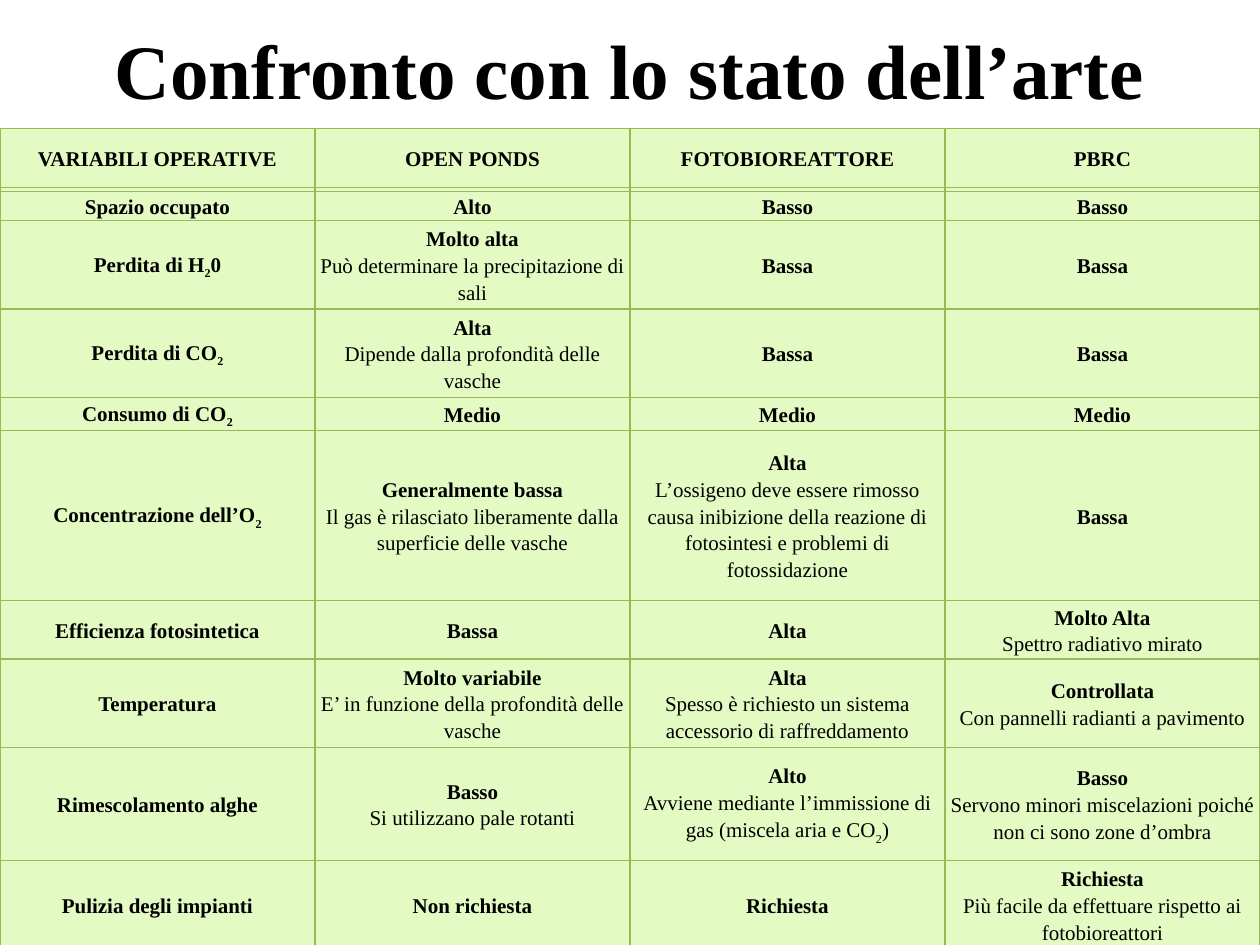
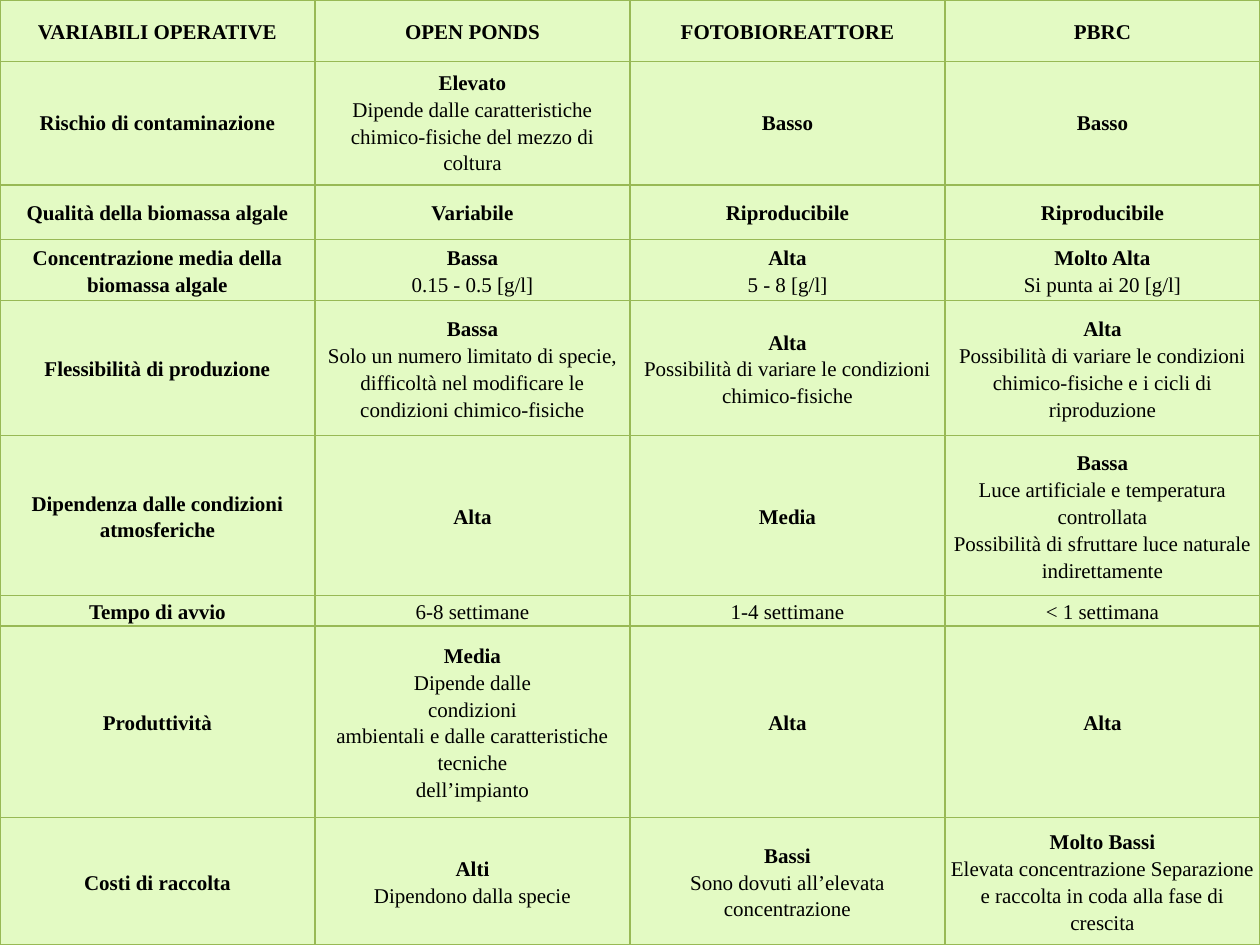
import pptx
import pptx.dml.color
import pptx.enum.text
import pptx.oxml
import pptx.oxml.ns
import pptx.util
from pptx.util import Cm

BLACK = pptx.dml.color.RGBColor(0x00, 0x00, 0x00)
LIME = pptx.dml.color.RGBColor(0xE3, 0xFA, 0xC3)
OLIVE = pptx.dml.color.RGBColor(0x98, 0xB9, 0x55)
FONT = "Times New Roman"
PAGE_WIDTH, PAGE_HEIGHT = 25.4, 19.05
COLUMNS = 4

# Cell text: the first line is bold, later lines are plain.
# "~" makes a first line plain, "_" makes the next character a subscript.
HEADINGS = ["VARIABILI OPERATIVE", "OPEN PONDS", "FOTOBIOREATTORE", "PBRC"]

# Each row: height in cm, then its cells
OPERATION_ROWS = [
    (1.27, [""] * COLUMNS),
    (0.59, ["Spazio occupato", "Alto", "Basso", "Basso"]),
    (1.78, ["Perdita di H_20",
            "Molto alta\nPuò determinare la precipitazione di sali",
            "Bassa", "Bassa"]),
    (1.78, ["Perdita di CO_2",
            "Alta\nDipende dalla profondità delle vasche",
            "Bassa", "Bassa"]),
    (0.59, ["Consumo di CO_2", "Medio", "Medio", "Medio"]),
    (3.43, ["Concentrazione dell’O_2",
            "Generalmente bassa\n"
            "Il gas è rilasciato liberamente dalla superficie delle vasche",
            "Alta\nL’ossigeno deve essere rimosso causa inibizione della "
            "reazione di fotosintesi e problemi di\nfotossidazione",
            "Bassa"]),
    (1.18, ["Efficienza fotosintetica", "Bassa", "Alta",
            "Molto Alta\nSpettro radiativo mirato"]),
    (1.78, ["Temperatura",
            "Molto variabile\nE’ in funzione della profondità delle vasche",
            "Alta\nSpesso è richiesto un sistema accessorio di raffreddamento",
            "Controllata\nCon pannelli radianti a pavimento"]),
    (2.28, ["Rimescolamento alghe",
            "Basso\nSi utilizzano pale rotanti",
            "Alto\nAvviene mediante l’immissione di gas (miscela aria e CO_2)",
            "Basso\nServono minori miscelazioni poiché non ci sono zone d’ombra"]),
    (1.78, ["Pulizia degli impianti", "Non richiesta", "Richiesta",
            "Richiesta\nPiù facile da effettuare rispetto ai fotobioreattori"]),
]

PRODUCTION_ROWS = [
    (2.54, ["Rischio di contaminazione",
            "Elevato\nDipende dalle caratteristiche chimico-fisiche "
            "del mezzo di coltura",
            "Basso", "Basso"]),
    (1.09, ["Qualità della biomassa algale",
            "Variabile", "Riproducibile", "Riproducibile"]),
    (1.24, ["Concentrazione media della biomassa algale",
            "Bassa\n0.15 - 0.5 [g/l]",
            "Alta\n5 - 8 [g/l]",
            "Molto Alta\nSi punta ai 20 [g/l]"]),
    (2.72, ["Flessibilità di produzione",
            "Bassa\nSolo un numero limitato di specie, difficoltà nel "
            "modificare le condizioni chimico-fisiche",
            "Alta\nPossibilità di variare le condizioni chimico-fisiche",
            "Alta\nPossibilità di variare le condizioni chimico-fisiche "
            "e i cicli di riproduzione"]),
    (3.23, ["Dipendenza dalle condizioni atmosferiche", "Alta", "Media",
            "Bassa\nLuce artificiale e temperatura controllata\n"
            "Possibilità di sfruttare luce naturale indirettamente"]),
    (0.61, ["Tempo di avvio",
            "~6-8 settimane", "~1-4 settimane", "~< 1 settimana"]),
    (3.86, ["Produttività",
            "Media\nDipende dalle\ncondizioni\n"
            "ambientali e dalle caratteristiche\ntecniche\ndell’impianto",
            "Alta", "Alta"]),
    (2.57, ["Costi di raccolta",
            "Alti\nDipendono dalla specie",
            "Bassi\nSono dovuti all’elevata concentrazione",
            "Molto Bassi\nElevata concentrazione Separazione e raccolta "
            "in coda alla fase di crescita"]),
]


class ComparisonDeck:
    """Holds the presentation, the current page and the shared style."""

    def __init__(self):
        self.deck = pptx.Presentation()
        self.deck.slide_width = Cm(PAGE_WIDTH)
        self.deck.slide_height = Cm(PAGE_HEIGHT)
        self.page = None

    def new_page(self):
        self.page = self.deck.slides.add_slide(self.deck.slide_layouts[6])

    def style_font(self, font, size, bold):
        font.name = FONT
        font.size = pptx.util.Pt(size)
        font.bold = bold
        font.color.rgb = BLACK

    def title(self, text):
        box = self.page.shapes.add_textbox(Cm(1.27), 0, Cm(22.86), Cm(2.77))
        frame = box.text_frame
        frame.word_wrap = True
        frame.vertical_anchor = pptx.enum.text.MSO_ANCHOR.MIDDLE
        frame.text = text
        para = frame.paragraphs[0]
        para.alignment = pptx.enum.text.PP_ALIGN.CENTER
        self.style_font(para.runs[0].font, 44, True)

    def table(self, top, rows):
        height = sum(row_height for row_height, _ in rows)
        table = self.page.shapes.add_table(
            len(rows), COLUMNS, 0, Cm(top), Cm(PAGE_WIDTH), Cm(height)).table
        table.first_row = table.horz_banding = False
        for column in table.columns:
            column.width = Cm(PAGE_WIDTH / COLUMNS)
        for row, (row_height, texts) in zip(table.rows, rows):
            row.height = Cm(row_height)
            for cell, text in zip(row.cells, texts):
                self.fill_cell(cell, text)

    def fill_cell(self, cell, text):
        cell.margin_left = cell.margin_right = Cm(0.1)
        cell.margin_top = cell.margin_bottom = 0
        cell.vertical_anchor = pptx.enum.text.MSO_ANCHOR.MIDDLE
        cell.fill.solid()
        cell.fill.fore_color.rgb = LIME
        self.border_cell(cell)
        cell.text_frame.text = text
        for index, para in enumerate(cell.text_frame.paragraphs):
            para.alignment = pptx.enum.text.PP_ALIGN.CENTER
            para.line_spacing = 1.15
            self.format_line(para, index == 0)

    def format_line(self, para, bold):
        line = para.text
        if line.startswith("~"):
            line, bold = line[1:], False
        start, *rest = line.split("_")
        para.text = start
        for piece in rest:
            subscript = para.add_run()
            subscript.text = piece[0]
            subscript.font._element.set("baseline", "-25000")
            if piece[1:]:
                para.add_run().text = piece[1:]
        for span in para.runs:
            self.style_font(span.font, 12, bold)

    def border_cell(self, cell):
        properties = cell._tc.get_or_add_tcPr()
        for position, side in enumerate("LRTB"):
            properties.insert(position, pptx.oxml.parse_xml(
                f'<a:ln{side} {pptx.oxml.ns.nsdecls("a")} w="{pptx.util.Pt(0.75)}">'
                f'<a:solidFill><a:srgbClr val="{OLIVE}"/></a:solidFill></a:ln{side}>'))


def main():
    comparison = ComparisonDeck()

    # Operating variables
    comparison.new_page()
    comparison.title("Confronto con lo stato dell’arte")
    comparison.table(2.59, OPERATION_ROWS)
    comparison.table(2.59, [(1.19, HEADINGS)])

    # Production and costs
    comparison.new_page()
    comparison.table(1.19, PRODUCTION_ROWS)
    comparison.table(0, [(1.24, HEADINGS)])

    comparison.deck.save("out.pptx")


if __name__ == "__main__":
    main()
